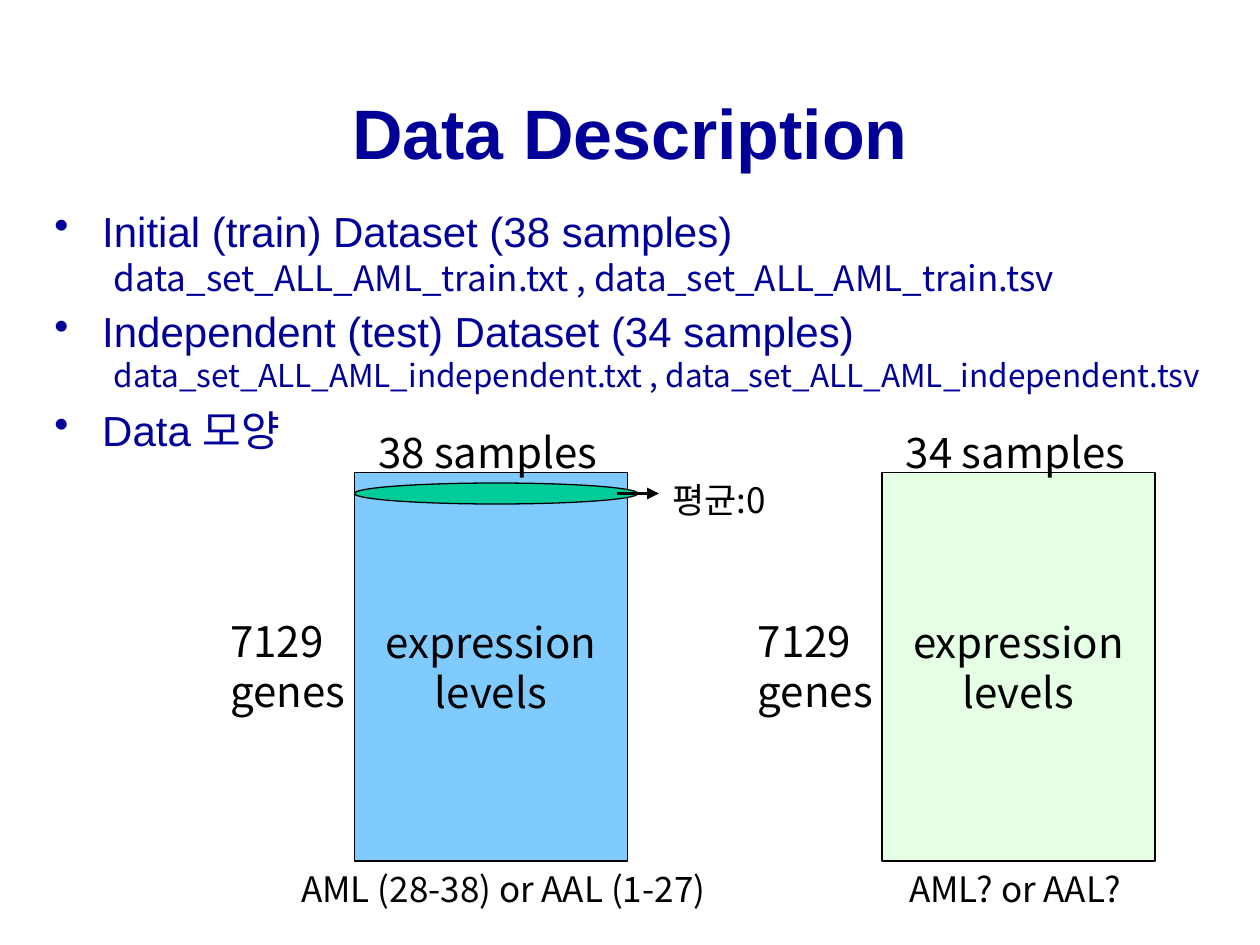
from dataclasses import dataclass

from lxml import etree
from pptx import Presentation
from pptx.dml.color import RGBColor
from pptx.enum.shapes import MSO_CONNECTOR, MSO_SHAPE
from pptx.enum.text import MSO_ANCHOR, MSO_AUTO_SIZE, PP_ALIGN
from pptx.oxml.ns import qn
from pptx.util import Inches, Pt

RECT, OVAL = MSO_SHAPE.RECTANGLE, MSO_SHAPE.OVAL
LINE = MSO_CONNECTOR.STRAIGHT
LEFT, MID = PP_ALIGN.LEFT, PP_ALIGN.CENTER
TOP, CENTER = MSO_ANCHOR.TOP, MSO_ANCHOR.MIDDLE
GROW, FIXED = MSO_AUTO_SIZE.SHAPE_TO_FIT_TEXT, MSO_AUTO_SIZE.NONE


@dataclass(frozen=True)
class Theme:
    navy: str = "000099"
    black: str = "000000"
    blue: str = "0099FF"
    mint: str = "CCFFCC"
    green: str = "00CC99"
    head: str = "Arial"
    body: str = "Noto Sans CJK KR"
    title: int = 40
    large: int = 24
    mid: int = 20
    small: int = 18


THEME = Theme()


def grid(*cells):
    """Turn cells of a 120 by 90 grid into lengths."""
    return [Inches(cell / 12) for cell in cells]


def style(para, size, color, font, bold=False, align=LEFT):
    para.alignment = align
    for run in para.runs:
        run.font.size = Pt(size)
        run.font.name = font
        run.font.bold = bold
        run.font.color.rgb = RGBColor.from_string(color)
        east = etree.Element(qn("a:ea"), typeface=THEME.body)
        run.font._element.find(qn("a:latin")).addnext(east)


def label(slide, cells, text, size, wrap=False):
    box = slide.shapes.add_textbox(*grid(*cells))
    frame = box.text_frame
    frame.text = text
    frame.word_wrap = wrap
    frame.auto_size = GROW
    for para in frame.paragraphs:
        style(para, size, THEME.black, THEME.body)


def block(slide, kind, cells, color, alpha=None):
    shape = slide.shapes.add_shape(kind, *grid(*cells))
    shape.shadow.inherit = False
    shape.fill.solid()
    shape.fill.fore_color.rgb = RGBColor.from_string(color)
    if alpha:
        tint = shape._element.spPr.find(".//" + qn("a:srgbClr"))
        etree.SubElement(tint, qn("a:alpha"), val=str(alpha * 1000))
    shape.line.color.rgb = RGBColor.from_string(THEME.black)
    shape.line.width = Pt(0.75)
    return shape


def arrow(slide, start, end):
    line = slide.shapes.add_connector(LINE, *grid(*start, *end))
    line.line.color.rgb = RGBColor.from_string(THEME.black)
    line.line.width = Pt(2.25)
    etree.SubElement(line.line._get_or_add_ln(), qn("a:tailEnd"), type="triangle")
    etree.SubElement(line._element.spPr, qn("a:effectLst"))


def title(slide, text):
    box = slide.shapes.add_textbox(*grid(9, 7, 102, 11))
    frame = box.text_frame
    frame.text = text
    frame.word_wrap = True
    frame.auto_size = FIXED
    frame.vertical_anchor = CENTER
    style(frame.paragraphs[0], THEME.title, THEME.navy, THEME.head, True, MID)


def indent(para, left, hang=0.0):
    props = para._p.get_or_add_pPr()
    props.set("marL", str(Inches(left)))
    props.set("indent", str(Inches(-hang)))
    return props


def bullets(slide, items):
    """Write (text, files, file size, space before) items as a list."""
    frame = slide.shapes.add_textbox(*grid(4, 19, 114, 67)).text_frame
    frame.word_wrap = True
    frame.auto_size = FIXED
    for i, (text, files, size, space) in enumerate(items):
        para = frame.add_paragraph() if i else frame.paragraphs[0]
        para.text = text
        para.space_before = Pt(space)
        props = indent(para, 0.38, 0.38)
        tint = etree.SubElement(props, qn("a:buClr"))
        etree.SubElement(tint, qn("a:srgbClr"), val=THEME.navy)
        etree.SubElement(props, qn("a:buChar"), char="•")
        style(para, THEME.large, THEME.navy, THEME.head)
        if files:
            para = frame.add_paragraph()
            para.text = files
            indent(para, 0.47)
            style(para, size, THEME.navy, THEME.body)


def panel(slide, left, color, count, foot, shift, width):
    """Draw a data matrix with labels above, beside and below it."""
    shape = block(slide, RECT, (left, 45, 26, 37), color, 50)
    frame = shape.text_frame
    frame.text = "expression\nlevels"
    frame.word_wrap = False
    frame.vertical_anchor = CENTER
    for para in frame.paragraphs:
        style(para, THEME.large, THEME.black, THEME.body, align=MID)
    label(slide, (left + 1.1, 40, 23.5, 6), count, THEME.large)
    label(slide, (left - 13, 58, 13.8, 10.8), "7129\ngenes", THEME.large, True)
    label(slide, (left + shift, 82, width, 5.25), foot, THEME.mid)


def main():
    deck = Presentation()
    deck.slide_width, deck.slide_height = grid(120, 90)
    slide = deck.slides.add_slide(deck.slide_layouts[6])
    title(slide, "Data Description")
    bullets(slide, [
        ("Initial (train) Dataset (38 samples)",
         "data_set_ALL_AML_train.txt , data_set_ALL_AML_train.tsv", THEME.mid, 0),
        ("Independent (test) Dataset (34 samples)",
         "data_set_ALL_AML_independent.txt , data_set_ALL_AML_independent.tsv",
         THEME.small, 4.5),
        ("Data 모양", "", 0, 6),
    ])
    first, second = 33.75, 84
    panel(slide, first, THEME.blue, "38 samples",
          "AML (28-38) or AAL (1-27)", -6.25, 41.75)
    block(slide, OVAL, (first, 46, 27, 2), THEME.green)
    arrow(slide, (first + 25, 47), (first + 29, 47))
    label(slide, (first + 29.1, 45, 12.1, 5.25), "평균:0", THEME.mid)
    panel(slide, second, THEME.mint, "34 samples", "AML? or AAL?", 1.4, 23.25)
    deck.save("out.pptx")


if __name__ == "__main__":
    main()
